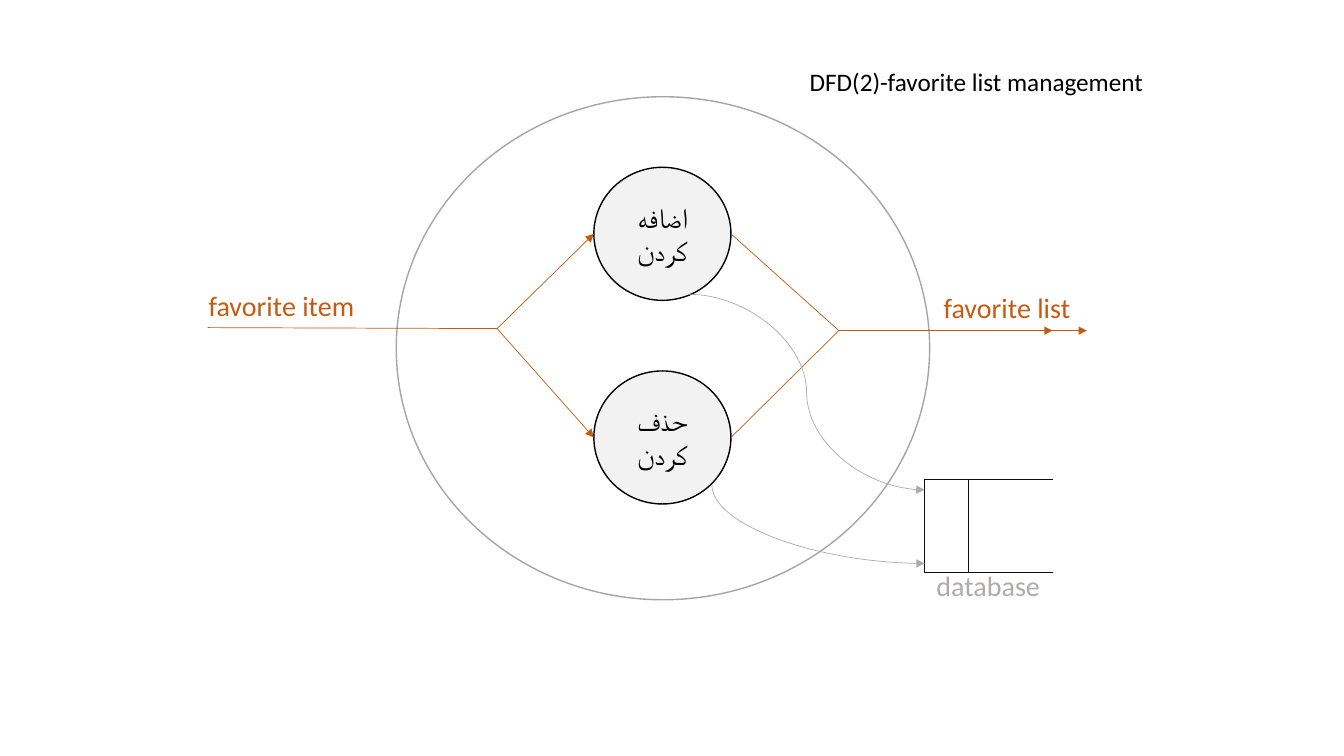
from lxml import etree
from pptx import Presentation, util as u
from pptx.dml.color import RGBColor
from pptx.enum import shapes, text
from pptx.oxml.ns import qn

BLACK = RGBColor(0x00, 0x00, 0x00)
INK = RGBColor(0x0D, 0x0D, 0x0D)
WHITE = RGBColor(0xFF, 0xFF, 0xFF)
PALE = RGBColor(0xF2, 0xF2, 0xF2)
RING = RGBColor(0xA5, 0xA5, 0xA5)
GRAY = RGBColor(0xAF, 0xAB, 0xAB)
RUST = RGBColor(0xC5, 0x5A, 0x11)
FONT = "Calibri"
LINE = shapes.MSO_CONNECTOR.STRAIGHT
CURVE = shapes.MSO_CONNECTOR.CURVE


def write(frame, words, size, color, align=text.PP_ALIGN.LEFT):
    """Put one styled run into a text frame."""
    para = frame.paragraphs[0]
    para.alignment = align
    run = para.add_run()
    run.text = words
    run.font.name = FONT
    run.font.size = u.Pt(size)
    run.font.color.rgb = color


def place(shape, box):
    """Move a shape to a box given in inches."""
    shape.left, shape.top, shape.width, shape.height = map(u.Inches, box)


def title(slide, box, words):
    """Format the title placeholder as the heading of the diagram."""
    head = slide.shapes.title
    place(head, box)
    frame = head.text_frame
    frame.word_wrap = False
    frame.auto_size = text.MSO_AUTO_SIZE.NONE
    frame.vertical_anchor = text.MSO_ANCHOR.TOP
    write(frame, words, 18, BLACK)


def label(slide, box, words, color):
    """Add the name of a flow or store."""
    note = slide.shapes.add_textbox(*map(u.Inches, box))
    note.text_frame.word_wrap = False
    write(note.text_frame, words, 20, color)


def circle(slide, box, fill, color, words=None):
    """Add a round process, with its name if it has one."""
    oval = slide.shapes.add_shape(shapes.MSO_SHAPE.OVAL, *map(u.Inches, box))
    oval.shadow.inherit = False
    oval.fill.solid()
    oval.fill.fore_color.rgb = fill
    oval.line.color.rgb = color
    oval.line.width = u.Pt(1)
    if words:
        oval.text_frame.vertical_anchor = text.MSO_ANCHOR.MIDDLE
        write(oval.text_frame, words, 20, BLACK, text.PP_ALIGN.CENTER)


def link(slide, start, end, color, arrow=False, kind=LINE):
    """Join two points with a thin line, ending in an arrowhead if asked."""
    wire = slide.shapes.add_connector(kind, *map(u.Inches, (*start, *end)))
    wire.line.color.rgb = color
    wire.line.width = u.Pt(0.5)
    props = wire._element.spPr
    if arrow:
        etree.SubElement(props.find(qn("a:ln")), qn("a:tailEnd"), type="triangle")
    etree.SubElement(props, qn("a:effectLst"))
    return wire


def bend(slide, start, end):
    """Add a quarter curve that leaves downward and arrives rightward."""
    (x1, y1), (x2, y2) = start, end
    wide, high = x2 - x1, y2 - y1
    wire = link(slide, start, end, GRAY, True, CURVE)
    # The preset leaves rightward, so its box is turned and mirrored.
    place(wire, ((x1 + x2 - high) / 2, (y1 + y2 - wide) / 2, high, wide))
    props = wire._element.spPr
    props.find(qn("a:prstGeom")).set("prst", "curvedConnector2")
    frame = props.find(qn("a:xfrm"))
    frame.set("rot", str(270 * 60000))
    frame.set("flipH", "1")


def system(slide, box):
    """Draw the outer circle, its two processes and the flows through them."""
    x, y, w, h = box
    circle(slide, box, WHITE, RING)
    wide, high = 1.36, 1.32
    left, right = x + 1.96, x + 1.96 + wide
    fork, join = (x + 1, y + 2.3), (x + 4.39, y + 2.32)
    for words, drop in (("اضافه کردن", 0.7), ("حذف کردن", 2.72)):
        top = y + drop
        mid = top + high / 2
        circle(slide, (left, top, wide, high), PALE, BLACK, words)
        link(slide, fork, (left, mid), RUST, True)
        link(slide, (right, mid), join, RUST)
    link(slide, (x - 1.87, y + 2.29), fork, RUST)
    for reach in (6.85, 6.51):
        link(slide, join, (x + reach, join[1]), RUST, True)
    label(slide, (x - 1.96, y + 1.85, 1.66, 0.44), "favorite item", RUST)
    label(slide, (x + w + 0.04, y + 1.87, 1.47, 0.44), "favorite list", RUST)


def store(slide, box):
    """Draw the open-ended data store, its name and the flows into it."""
    x, y, w, h = box
    pen = slide.shapes.build_freeform(u.Inches(x + w), u.Inches(y))
    pen.add_line_segments(
        [(u.Inches(a), u.Inches(b)) for a, b in ((x, y), (x, y + h), (x + w, y + h))],
        close=False)
    edge = pen.convert_to_shape()
    edge.shadow.inherit = False
    edge.fill.background()
    edge.line.color.rgb = INK
    edge.line.width = u.Pt(0.5)
    link(slide, (x + 0.43, y), (x + 0.43, y + h), INK)
    link(slide, (x - 2.34, y - 1.84), (x, y + 0.1), GRAY, True, CURVE)
    bend(slide, (x - 2.11, y + 0.05), (x, y + 0.83))
    label(slide, (x + 0.02, y + 0.83, 1.24, 0.44), "database", GRAY)


def main():
    """Build and save the slide."""
    deck = Presentation()
    deck.slide_width, deck.slide_height = u.Inches(13.33), u.Inches(7.5)
    slide = deck.slides.add_slide(deck.slide_layouts[5])
    title(slide, (7.93, 0.61, 3.65, 0.4), "DFD(2)-favorite list management")
    system(slide, (3.93, 0.96, 5.29, 4.99))
    store(slide, (9.17, 4.76, 1.27, 0.92))
    deck.save("out.pptx")


main()
